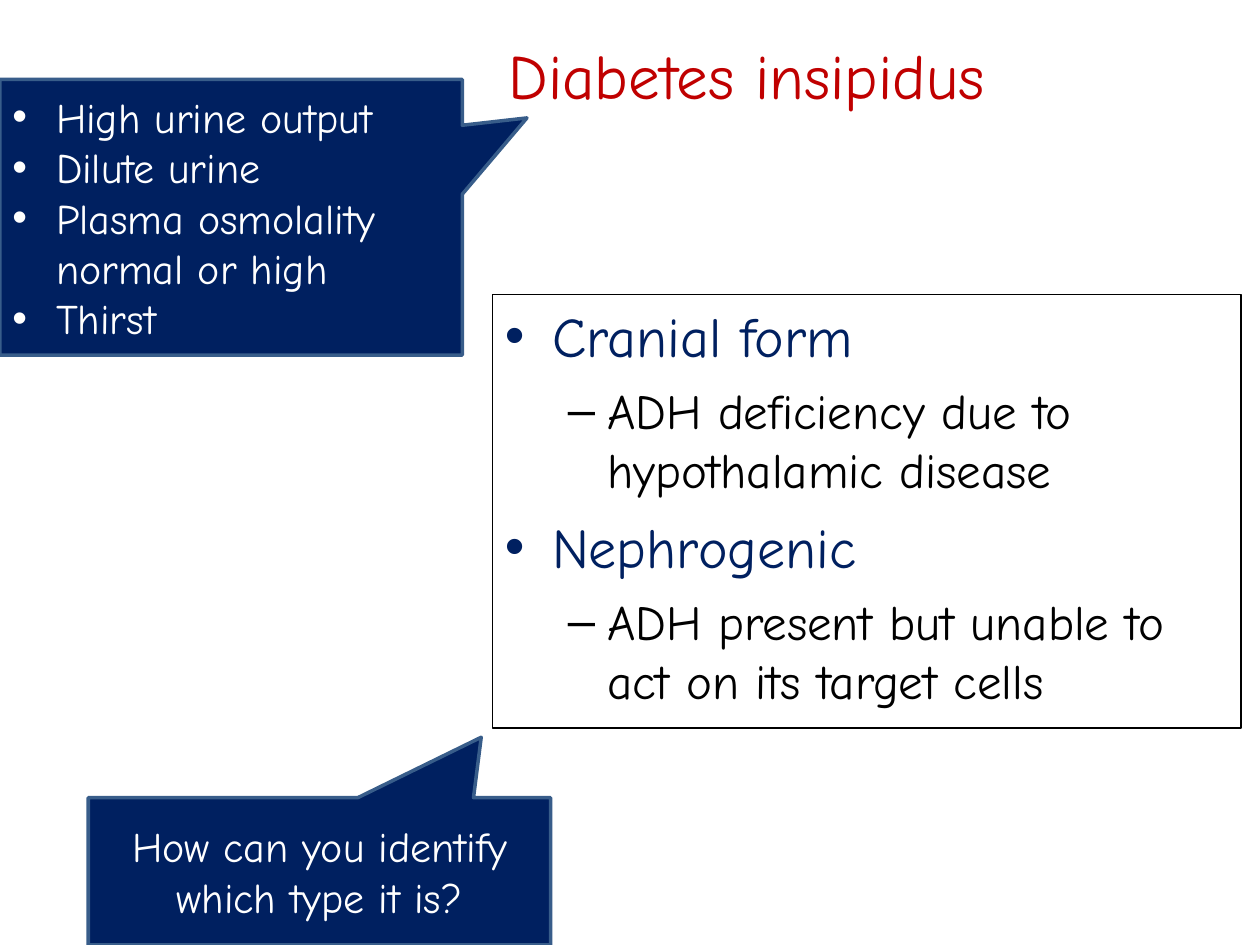
import pptx
import pptx.util
import pptx.dml.color
import pptx.enum.shapes
import pptx.enum.text
import pptx.oxml
import pptx.oxml.ns

Cm, Pt = pptx.util.Cm, pptx.util.Pt
RGBColor = pptx.dml.color.RGBColor
SHAPE = pptx.enum.shapes.MSO_SHAPE
ANCHOR = pptx.enum.text.MSO_ANCHOR
ALIGN = pptx.enum.text.PP_ALIGN

RED = RGBColor(0xC0, 0x00, 0x00)
NAVY = RGBColor(0x00, 0x20, 0x60)
EDGE = RGBColor(0x38, 0x5D, 0x8A)
BLACK = RGBColor(0x00, 0x00, 0x00)
WHITE = RGBColor(0xFF, 0xFF, 0xFF)
FONT = "Comic Neue"

# Paragraph formats: hanging indents are in centimetres
FORM = dict(size=32, color=NAVY, bullet="•", left=0.95, hang=0.95, before=8)
DETAIL = dict(size=28, color=BLACK, bullet="–", left=2.06, hang=0.79, before=7, level=1)
SIGN = dict(size=24, color=WHITE, bullet="•", left=0.88, hang=0.88)
QUESTION = dict(size=24, color=WHITE, align=ALIGN.CENTER)
TITLE = dict(size=36, color=RED, align=ALIGN.CENTER)


def set_attrs(obj, values):
    for name, value in values.items():
        setattr(obj, name, value)


def place(sp, left, top, width, height):
    set_attrs(sp, dict(left=Cm(left), top=Cm(top), width=Cm(width), height=Cm(height)))


def add_bullet(p, char, color, left, hang):
    pPr = p._p.get_or_add_pPr()
    pPr.set("marL", str(Cm(left)))
    pPr.set("indent", str(-Cm(hang)))
    ns = pptx.oxml.ns.nsdecls("a")
    for xml in (
        f'<a:buClr {ns}><a:srgbClr val="{color}"/></a:buClr>',
        f'<a:buFont {ns} typeface="Arial"/>',
        f'<a:buChar {ns} char="{char}"/>',
    ):
        pPr.append(pptx.oxml.parse_xml(xml))


def write(sp, lines, anchor, top_inset=0.13):
    tf = sp.text_frame
    set_attrs(tf, dict(word_wrap=True, vertical_anchor=anchor,
                       auto_size=pptx.enum.text.MSO_AUTO_SIZE.NONE,
                       margin_left=Cm(0.25), margin_right=Cm(0.25),
                       margin_top=Cm(top_inset), margin_bottom=Cm(0.13)))
    for i, (text, form) in enumerate(lines):
        p = tf.add_paragraph() if i else tf.paragraphs[0]
        if "bullet" in form:
            add_bullet(p, form["bullet"], form["color"], form["left"], form["hang"])
        set_attrs(p, dict(alignment=form.get("align", ALIGN.LEFT),
                          level=form.get("level", 0),
                          space_before=Pt(form.get("before", 0) if i else 0)))
        r = p.add_run()
        r.text = text
        set_attrs(r.font, dict(name=FONT, size=Pt(form["size"])))
        r.font.color.rgb = form["color"]


def add_box(s, kind, box, line, weight, fill=None):
    sp = s.shapes.add_shape(kind, *(Cm(v) for v in box))
    sp.shadow.inherit = False
    if fill is None:
        sp.fill.background()
    else:
        sp.fill.solid()
        sp.fill.fore_color.rgb = fill
    sp.line.color.rgb = line
    sp.line.width = Pt(weight)
    return sp


def add_callout(s, box, tip, lines):
    sp = add_box(s, SHAPE.RECTANGULAR_CALLOUT, box, EDGE, 2, NAVY)
    sp.adjustments[0], sp.adjustments[1] = tip
    write(sp, lines, ANCHOR.MIDDLE)


def main():
    prs = pptx.Presentation()
    prs.slide_width, prs.slide_height = Cm(25.4), Cm(19.05)
    s = prs.slides.add_slide(prs.slide_layouts[5])

    # Title
    place(s.shapes.title, 8.94, 0.58, 12.22, 3.38)
    write(s.shapes.title, [("Diabetes insipidus", TITLE)], ANCHOR.TOP, 0.16)

    # The two forms
    sp = add_box(s, SHAPE.RECTANGLE, (9.93, 5.94, 15.09, 8.74), BLACK, 0.75)
    write(sp, [
        ("Cranial form", FORM),
        ("ADH deficiency due to hypothalamic disease", DETAIL),
        ("Nephrogenic", FORM),
        ("ADH present but unable to act on its target cells", DETAIL),
    ], ANCHOR.TOP)

    # Clinical signs
    signs = ["High urine output", "Dilute urine", "Plasma osmolality normal or high", "Thirst"]
    add_callout(s, (0, 1.6, 9.32, 5.56), (0.64, -0.36), [(t, SIGN) for t in signs])

    # Question
    add_callout(s, (1.78, 16.08, 9.32, 2.97), (0.35, -0.91),
                [("How can you identify which type it is?", QUESTION)])

    prs.save("out.pptx")


if __name__ == "__main__":
    main()
